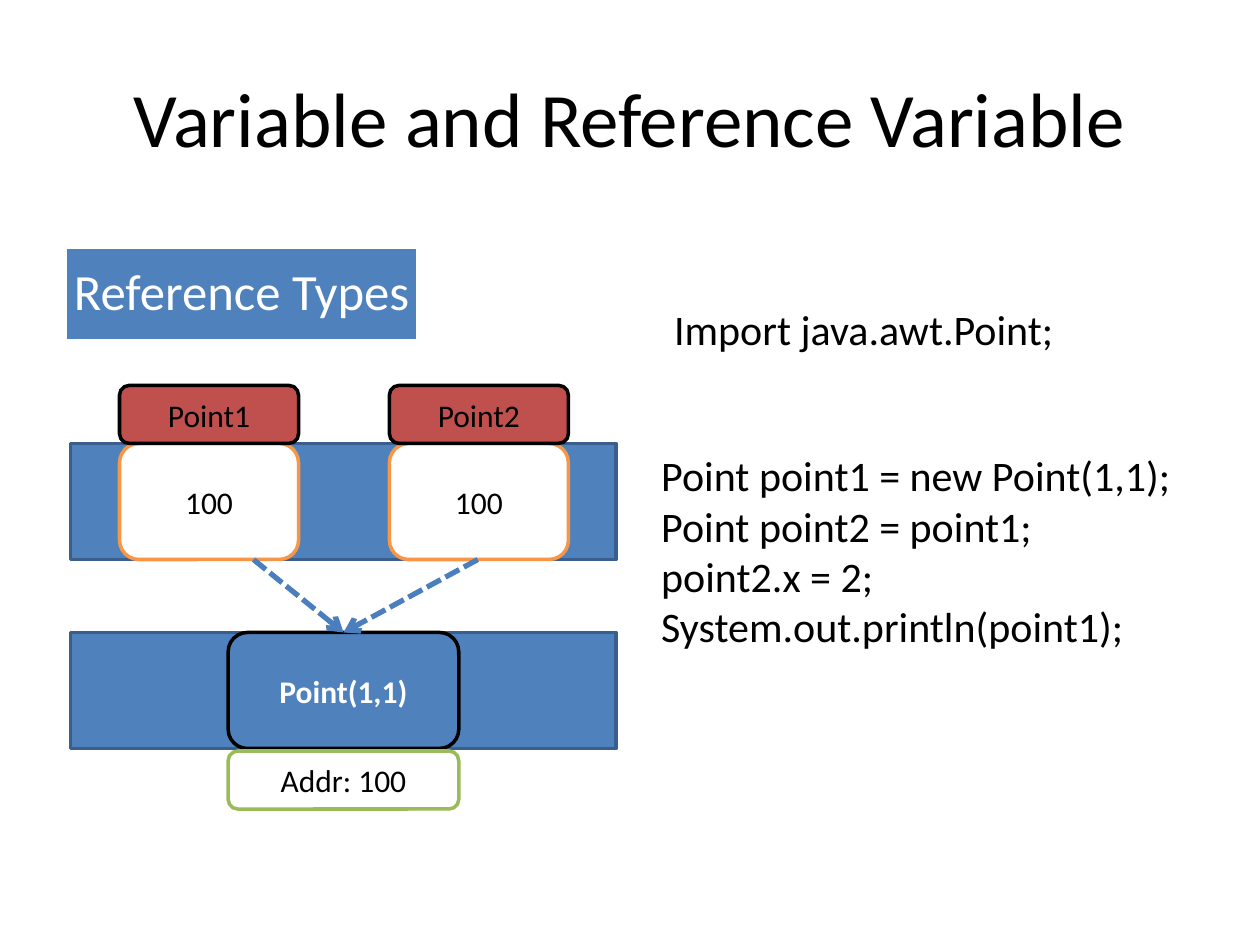
from lxml import etree
from pptx import Presentation
from pptx.dml.color import RGBColor
from pptx.enum import dml, shapes, text
from pptx.oxml import ns
from pptx.util import Cm, Pt

BLUE, RED, WHITE, BLACK = "4F81BD", "C0504D", "FFFFFF", "000000"
EDGE, ORANGE, GREEN, ARROW = "3A5F8C", "F79646", "9BBB59", "4B7EBC"
RECT, ROUND = shapes.MSO_SHAPE.RECTANGLE, shapes.MSO_SHAPE.ROUNDED_RECTANGLE


def rgb(code):
    return RGBColor.from_string(code)


def write(shape, words, size, color=BLACK, align="CENTER", bold=False):
    shape.text_frame.text = words
    look = {"name": "Calibri", "size": Pt(size), "bold": bold}
    for para in shape.text_frame.paragraphs:
        para.alignment = text.PP_ALIGN[align]
        for key, value in look.items():
            setattr(para.font, key, value)
        para.font.color.rgb = rgb(color)


deck = Presentation()
deck.slide_width, deck.slide_height = Cm(25.4), Cm(19.05)
slide = deck.slides.add_slide(deck.slide_layouts[5])

title = slide.shapes.title
place = {"left": 1.27, "top": 0.76, "width": 22.86, "height": 3.18}
for key, value in place.items():
    setattr(title, key, Cm(value))
title.text_frame.vertical_anchor = text.MSO_ANCHOR.MIDDLE
write(title, "Variable and Reference Variable", 44)

# Memory bands: variables above, the object below
band, wide, tall, flat = 1.42, 11, 2.34, 1.17
stack, heap = 8.94, 12.75
slot, gap, cell = 2.41, 5.44, 3.61
item, span = 4.6, 4.65

boxes = [
    (RECT, band, heap, wide, tall, BLUE, EDGE, "", WHITE),
    (ROUND, item, heap, span, tall, BLUE, BLACK, "Point(1,1)", WHITE),
    (RECT, band, stack, wide, tall, BLUE, EDGE, "", WHITE),
    (ROUND, item, 15.14, span, flat, WHITE, GREEN, "Addr: 100", BLACK),
    (RECT, 1.32, 4.98, 7.11, 1.9, BLUE, WHITE, "Reference Types", WHITE),
]
for i in range(2):
    left = slot + i * gap
    boxes += [
        (ROUND, left, stack, cell, tall, WHITE, ORANGE, "100", BLACK),
        (ROUND, left, stack - flat, cell, flat, RED, BLACK, f"Point{i + 1}", BLACK),
    ]

for kind, left, top, width, height, fill, edge, words, color in boxes:
    box = slide.shapes.add_shape(kind, Cm(left), Cm(top), Cm(width), Cm(height))
    box.shadow.inherit = False
    box.fill.solid()
    box.fill.fore_color.rgb = rgb(fill)
    box.line.color.rgb = rgb(edge)
    box.line.width = Pt(2)
    if not words:
        continue
    head = words == "Reference Types"
    write(box, words, 29 if head else 18, color, bold=words == "Point(1,1)")
    frame = box.text_frame
    frame.vertical_anchor = text.MSO_ANCHOR.MIDDLE
    if head:
        frame.paragraphs[0].line_spacing = 0.9
        for side in ("left", "right", "top", "bottom"):
            setattr(frame, f"margin_{side}", Cm(0.05))

# Both variables point at the same object
for start in (5.11, 9.63):
    line = slide.shapes.add_connector(
        shapes.MSO_CONNECTOR.STRAIGHT,
        Cm(start), Cm(stack + tall), Cm(item + span / 2), Cm(heap))
    line.line.color.rgb = rgb(ARROW)
    line.line.width = Pt(3)
    line.line.dash_style = dml.MSO_LINE.SQUARE_DOT
    etree.SubElement(line.line._get_or_add_ln(), ns.qn("a:tailEnd"), type="arrow")
    etree.SubElement(line._element.spPr, ns.qn("a:effectLst"))

code = """Point point1 = new Point(1,1);
Point point2 = point1;
point2.x = 2;
System.out.println(point1);"""
notes = [
    (13.08, 8.94, 11, 4.37, True, code),
    (13.34, 5.99, 8.23, 1.27, False, "Import java.awt.Point;"),
]
for left, top, width, height, wrap, words in notes:
    note = slide.shapes.add_textbox(Cm(left), Cm(top), Cm(width), Cm(height))
    note.text_frame.word_wrap = wrap
    note.text_frame.auto_size = text.MSO_AUTO_SIZE.SHAPE_TO_FIT_TEXT
    write(note, words, 24, align="LEFT")

deck.save("out.pptx")
